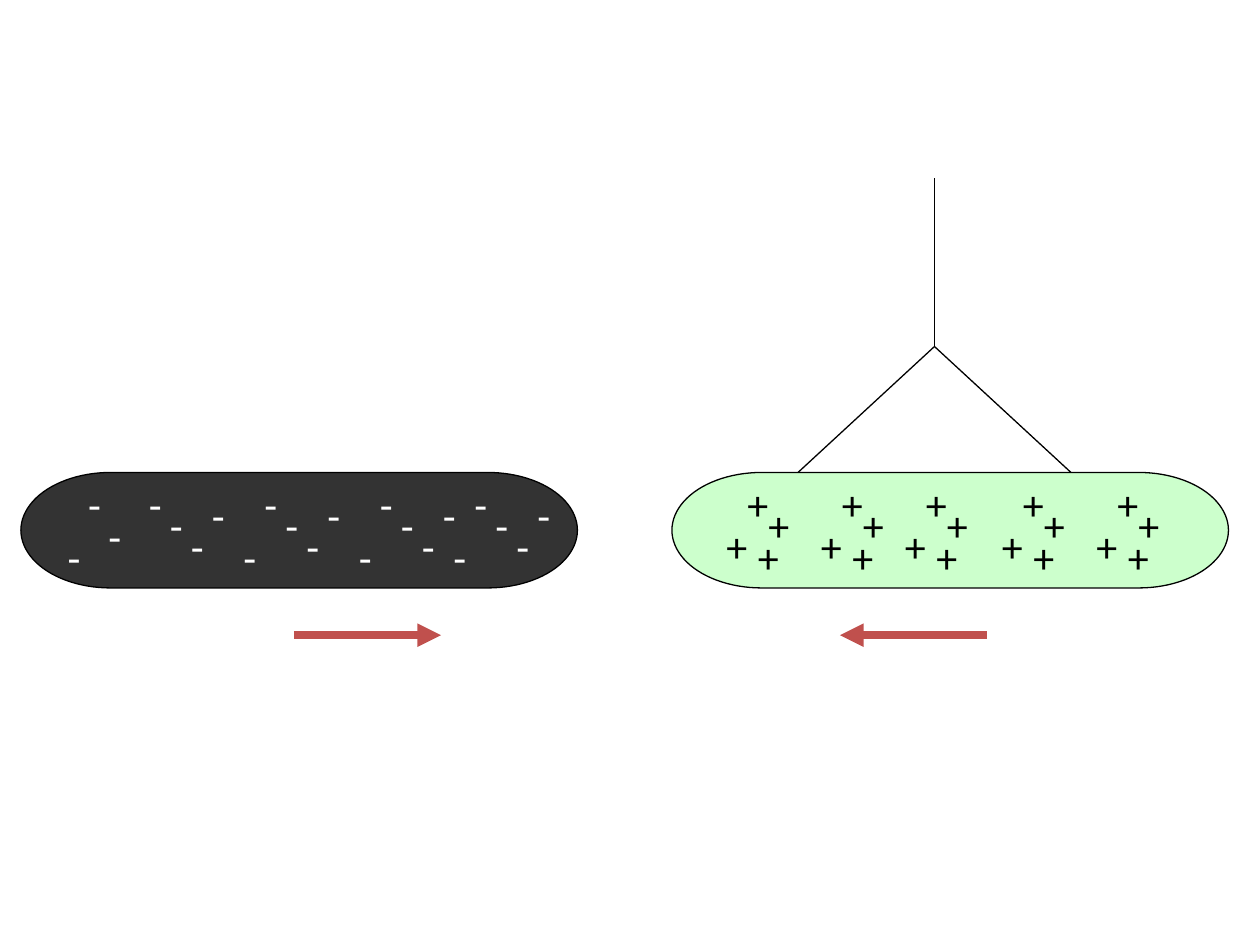
from pptx import Presentation
from pptx.dml.color import RGBColor
from pptx.enum.shapes import MSO_CONNECTOR as Connector, MSO_SHAPE as Shape
from pptx.enum.text import MSO_AUTO_SIZE as AutoSize
from pptx.oxml.ns import qn
from pptx.util import Pt
from lxml.etree import SubElement

COLORS = {
    "black": "000000",
    "white": "FFFFFF",
    "dark_rod": "333333",
    "green_rod": "CCFFCC",
    "force": "C0504D",
}
ROD_TOP = 270
FORCE_Y = 363
PLUS_ORIGINS = [420, 474, 522, 577.4, 631.4]
PLUS_OFFSETS = [(0, 0), (12, 12), (6, 30), (-12, 24)]
MINUS_ORIGINS = [264, 144, 210, 78]
MINUS_OFFSETS = [(12, 12), (24, 24), (0, 0), (36, 6)]
LOW_MINUS_OFFSET = (-12, 30)
LEFT_END_MINUSES = [(54.8, 18), (43.2, 0), (31.6, 30)]


def color(name):
    return RGBColor.from_string(COLORS[name])


def add_rod(slide, left, fill):
    rod = slide.shapes.add_shape(
        Shape.FLOWCHART_TERMINATOR, Pt(left), Pt(ROD_TOP), Pt(318), Pt(66))
    rod.shadow.inherit = False
    rod.fill.solid()
    rod.fill.fore_color.rgb = color(fill)
    rod.line.color.rgb = color("black")
    rod.line.width = Pt(0.75)


def add_line(slide, start, end, line_color="black", width=0.75, arrow=False):
    connector = slide.shapes.add_connector(
        Connector.STRAIGHT, *(Pt(value) for value in (*start, *end)))
    connector.line.color.rgb = color(line_color)
    connector.line.width = Pt(width)
    if arrow:
        SubElement(connector.line._get_or_add_ln(), qn("a:tailEnd"), type="triangle")
    SubElement(connector._element.spPr, qn("a:effectLst"))


def add_charge(slide, sign, left, drop, width, font_color):
    box = slide.shapes.add_textbox(Pt(left), Pt(ROD_TOP + drop), Pt(width), Pt(36))
    frame = box.text_frame
    frame.word_wrap = False
    frame.auto_size = AutoSize.SHAPE_TO_FIT_TEXT
    paragraph = frame.paragraphs[0]
    paragraph.text = sign
    paragraph.font.name = "Calibri"
    paragraph.font.size = Pt(24)
    paragraph.font.color.rgb = color(font_color)


def add_string(slide):
    knot = (534, 198)
    for end in [(534, 102), (456, ROD_TOP), (612, ROD_TOP)]:
        add_line(slide, knot, end)


def add_charges(slide):
    for origin in PLUS_ORIGINS:
        for shift, drop in PLUS_OFFSETS:
            add_charge(slide, "+", origin + shift, drop, 28.8, "black")

    minuses = [(origin + shift, drop)
               for origin in MINUS_ORIGINS for shift, drop in MINUS_OFFSETS]
    shift, drop = LOW_MINUS_OFFSET
    minuses += [(origin + shift, drop) for origin in MINUS_ORIGINS[:3]]
    for left, drop in minuses + LEFT_END_MINUSES:
        add_charge(slide, "-", left, drop, 22.2, "white")


def main():
    presentation = Presentation()
    presentation.slide_width, presentation.slide_height = Pt(720), Pt(540)
    slide = presentation.slides.add_slide(presentation.slide_layouts[6])
    add_rod(slide, 12, "dark_rod")
    add_rod(slide, 384, "green_rod")
    add_string(slide)
    add_charges(slide)
    for start, end in [(564, 480), (168, 252)]:
        add_line(slide, (start, FORCE_Y), (end, FORCE_Y), "force", 4.5, arrow=True)
    presentation.save("out.pptx")


if __name__ == "__main__":
    main()
